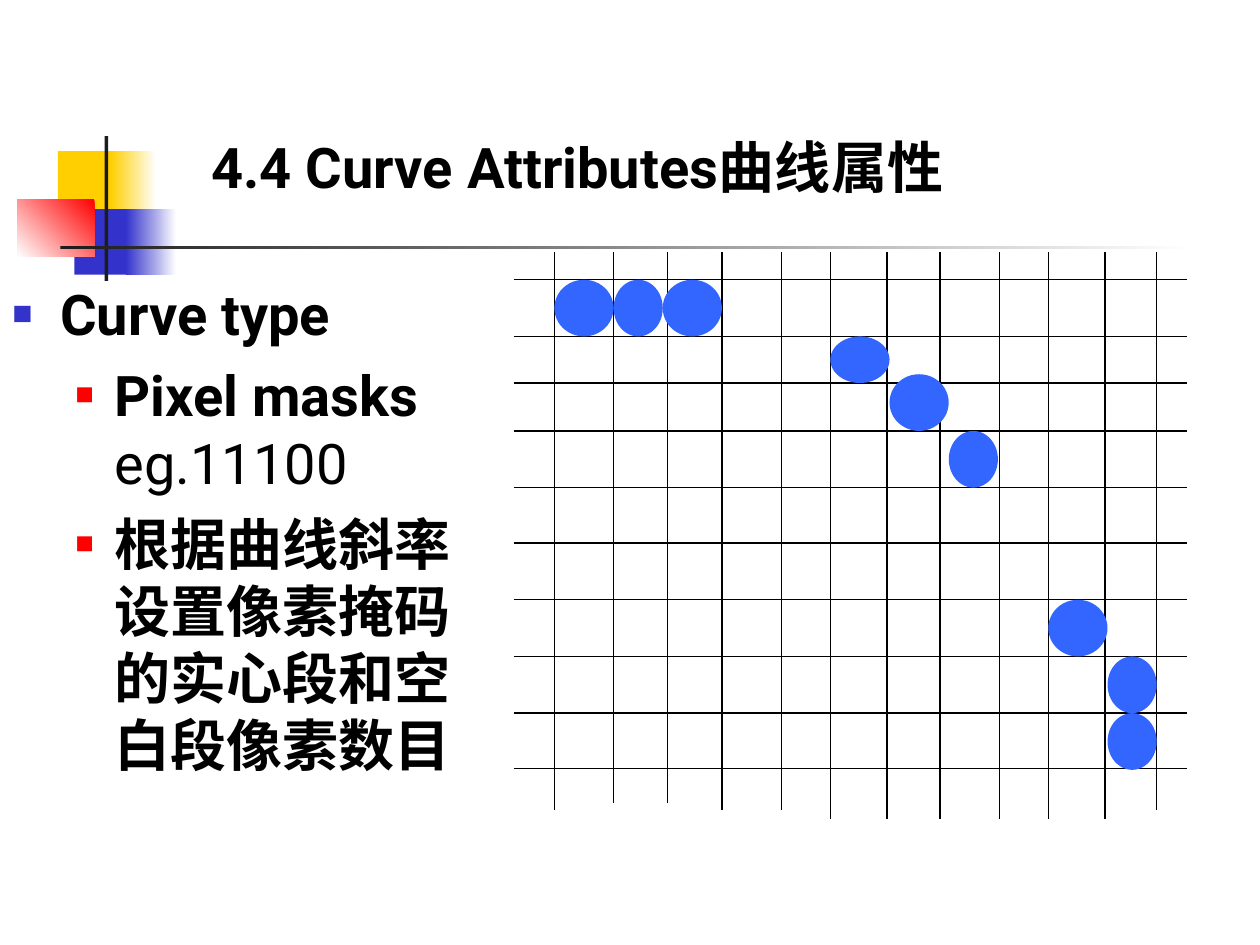
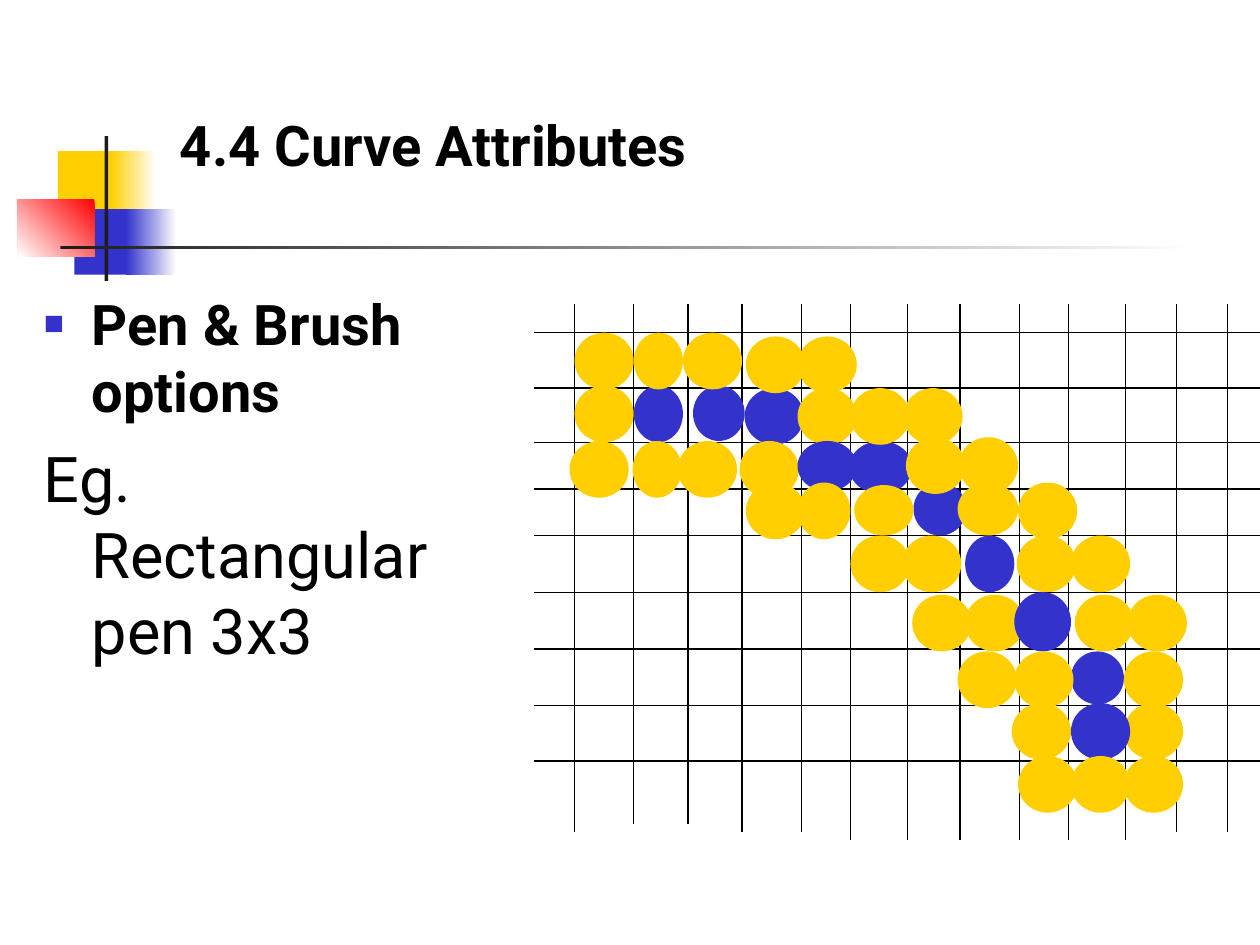
from lxml.etree import SubElement
from pptx import Presentation
from pptx.dml.color import RGBColor
from pptx.enum.shapes import MSO_CONNECTOR, MSO_SHAPE
from pptx.enum.text import PP_ALIGN
from pptx.oxml.ns import qn
from pptx.util import Inches, Pt

WHITE = RGBColor(0xFF, 0xFF, 0xFF)
BLACK = RGBColor(0x00, 0x00, 0x00)
INK = RGBColor(0x1C, 0x1C, 0x1C)
GOLD = RGBColor(0xFF, 0xCF, 0x01)
NAVY = RGBColor(0x33, 0x33, 0xCC)
RED = RGBColor(0xFF, 0x00, 0x00)
SKY = RGBColor(0x33, 0x66, 0xFF)
FONT = "Roboto"

COLS = [0.32, 0.79, 1.22, 1.65, 2.12, 2.51, 2.96, 3.38, 3.85, 4.24, 4.69, 5.1, 5.5]
TRIMS = [0.07, 0.13, 0.13, 0.07, 0.07, 0, 0, 0, 0, 0, 0, 0.07, 0.07]
MASK_ROWS = [0.22, 0.67, 1.04, 1.42, 1.87, 2.31, 2.76, 3.21, 3.66, 4.1]
PEN_ROWS = [0.23, 0.67, 1.1, 1.47, 1.84, 2.29, 2.74, 3.19, 3.63]

# Each run of dots: colour, top, lefts, then width and height if not usual.
MASK_DOTS = [
    (SKY, 0.22, [0.32, 1.18]),
    (SKY, 0.22, [0.79], 0.39),
    (SKY, 0.67, [2.51], 0.47, 0.37),
    (SKY, 0.97, [2.98]),
    (SKY, 1.42, [3.45], 0.39),
    (SKY, 2.76, [4.24]),
    (SKY, 3.21, [4.71], 0.39),
    (SKY, 3.66, [4.71], 0.39),
]
PEN_DOTS = [
    (NAVY, 0.65, [0.79], 0.39),
    (NAVY, 0.65, [1.26], 0.41, 0.44),
    (NAVY, 0.67, [1.67]),
    (NAVY, 1.09, [2.5], 0.5, 0.42),
    (NAVY, 1.42, [3.01], 0.42, 0.42),
    (NAVY, 1.84, [3.42], 0.39),
    (NAVY, 2.76, [4.26], 0.42, 0.42),
    (GOLD, 0.23, [0.32, 1.18]),
    (GOLD, 0.23, [0.79], 0.39),
    (GOLD, 0.26, [1.68, 2.09]),
    (GOLD, 0.65, [0.32]),
    (GOLD, 0.67, [2.09, 2.51, 2.93]),
    (GOLD, 1.09, [0.28, 1.14, 1.63]),
    (GOLD, 1.09, [0.78], 0.39),
    (NAVY, 1.09, [2.09], 0.47, 0.4),
    (GOLD, 1.06, [2.95, 3.37]),
    (GOLD, 1.42, [1.68, 3.84]),
    (GOLD, 1.42, [2.09], 0.42),
    (GOLD, 1.44, [2.54], 0.47, 0.4),
    (GOLD, 1.42, [3.36], 0.48, 0.42),
    (GOLD, 1.84, [2.51, 2.92, 3.83, 4.26]),
    (GOLD, 2.31, [3, 3.42]),
    (NAVY, 2.29, [3.81], 0.45, 0.47),
    (GOLD, 2.31, [4.29, 4.71]),
    (GOLD, 2.76, [3.36, 3.81, 4.68]),
    (GOLD, 3.17, [3.79, 4.68]),
    (NAVY, 3.17, [4.26]),
    (GOLD, 3.59, [3.84, 4.26, 4.68]),
]


def add_form(slide, kind, box, color, fade=None):
    """Add a lineless shape; fade is an angle for blending into white."""
    form = slide.shapes.add_shape(kind, *map(Inches, box))
    form.shadow.inherit = False
    form.line.fill.background()
    if fade is None:
        form.fill.solid()
        form.fill.fore_color.rgb = color
        return
    form.fill.gradient()
    form.fill.gradient_angle = fade
    for stop, shade in zip(form.fill.gradient_stops, (color, WHITE)):
        stop.color.rgb = shade


def add_rule(slide, left, top, right, bottom):
    """Add a thin black grid line."""
    ends = map(Inches, (left, top, right, bottom))
    rule = slide.shapes.add_connector(MSO_CONNECTOR.STRAIGHT, *ends)
    rule.line.color.rgb = BLACK
    rule.line.width = Pt(0.75)
    SubElement(rule._element.spPr, qn("a:effectLst"))


def add_decor(slide, left, top):
    """Draw the coloured blocks and the cross lines beside the title."""
    parts = [
        (0.32, 0.12, 0.48, 0.52, GOLD, None),
        (0.74, 0.12, 0.36, 0.52, GOLD, 0),
        (0.45, 0.58, 0.46, 0.52, NAVY, None),
        (0.86, 0.58, 0.4, 0.52, NAVY, 0),
        (0, 0.5, 0.61, 0.46, RED, 225),
        (0.69, 0, 0.03, 1.15, INK, None),
        (0.34, 0.87, 9, 0.03, INK, 0),
    ]
    for x, y, wide, high, color, fade in parts:
        box = (left + x, top + y, wide, high)
        add_form(slide, MSO_SHAPE.RECTANGLE, box, color, fade)


def add_frame(slide, box):
    """Add a wrapping text box and return its frame."""
    frame = slide.shapes.add_textbox(*map(Inches, box)).text_frame
    frame.word_wrap = True
    return frame


def style_run(run, size, bold):
    """Apply the shared font to a run."""
    run.font.name = FONT
    run.font.size = Pt(size)
    run.font.bold = bold
    run.font.color.rgb = BLACK


def add_title(slide, box, text):
    """Add the bold slide title."""
    frame = add_frame(slide, box)
    frame.text = text
    style_run(frame.paragraphs[0].runs[0], 32, True)


def set_bullet(para, indent, hang, color, scale):
    """Set a hanging indent and a square bullet, or none without a colour."""
    props = para._p.get_or_add_pPr()
    props.set("marL", str(Inches(indent)))
    props.set("indent", str(-Inches(hang)))
    if color is None:
        SubElement(props, qn("a:buNone"))
        return
    tint = SubElement(props, qn("a:buClr"))
    SubElement(tint, qn("a:srgbClr"), val=str(color))
    SubElement(props, qn("a:buSzPct"), val=str(scale * 1000))
    SubElement(props, qn("a:buFont"), typeface="Arial")
    SubElement(props, qn("a:buChar"), char="■")


def add_body(slide, box, items):
    """Add paragraphs, each a bullet style and its (text, size, bold) runs."""
    frame = add_frame(slide, box)
    for rank, (style, runs) in enumerate(items):
        para = frame.add_paragraph() if rank else frame.paragraphs[0]
        para.alignment = PP_ALIGN.LEFT
        if rank:
            para.space_before = Pt(runs[0][1] / 4)
        set_bullet(para, *style)
        for text, size, bold in runs:
            run = para.add_run()
            run.text = text
            style_run(run, size, bold)


def add_grid(slide, box, cols, rows, dots):
    """Draw the pixel grid and its dots inside the box."""
    left, top, wide, high = box
    for x, trim in zip(cols, TRIMS):
        add_rule(slide, left + x, top, left + x, top + high - trim)
    for y in rows:
        add_rule(slide, left, top + y, left + wide, top + y)
    for color, y, spots, *size in dots:
        span = size + [0.47, 0.45][len(size):]
        for x in spots:
            add_form(slide, MSO_SHAPE.OVAL, (left + x, top + y, *span), color)


def add_page(deck):
    """Add a blank slide with the shared decor."""
    slide = deck.slides.add_slide(deck.slide_layouts[6])
    add_decor(slide, 0.14, 1.08)
    return slide


def main():
    """Build both slides and save them."""
    deck = Presentation()
    deck.slide_width, deck.slide_height = Inches(10), Inches(7.5)
    main_style = (0.38, 0.38, NAVY, 60)
    sub_style = (0.81, 0.31, RED, 55)
    plain_style = (0.38, 0.38, None, 0)

    mask = add_page(deck)
    add_body(mask, (0, 2.17, 4, 4.5), [
        (main_style, [("Curve type", 32, True)]),
        (sub_style, [("Pixel masks", 32, True), (" eg.11100", 32, False)]),
        (sub_style, [("根据曲线斜率设置像素掩码的实心段和空白段像素数目", 32, True)]),
    ])
    add_title(mask, (1.58, 1, 7.17, 0.64), "4.4 Curve Attributes曲线属性")
    add_grid(mask, (4.08, 2, 5.34, 4.5), COLS[:-1], MASK_ROWS, MASK_DOTS)

    pen = add_page(deck)
    add_title(pen, (1.33, 0.83, 5.92, 0.64), "4.4 Curve Attributes")
    add_body(pen, (0.25, 2.25, 3.42, 4.5), [
        (main_style, [("Pen & Brush options", 32, True)]),
        (plain_style, [("Eg. Rectangular pen 3x3", 36, False)]),
    ])
    add_grid(pen, (4.24, 2.41, 5.76, 4.26), COLS, PEN_ROWS, PEN_DOTS)
    deck.save("out.pptx")


if __name__ == "__main__":
    main()
